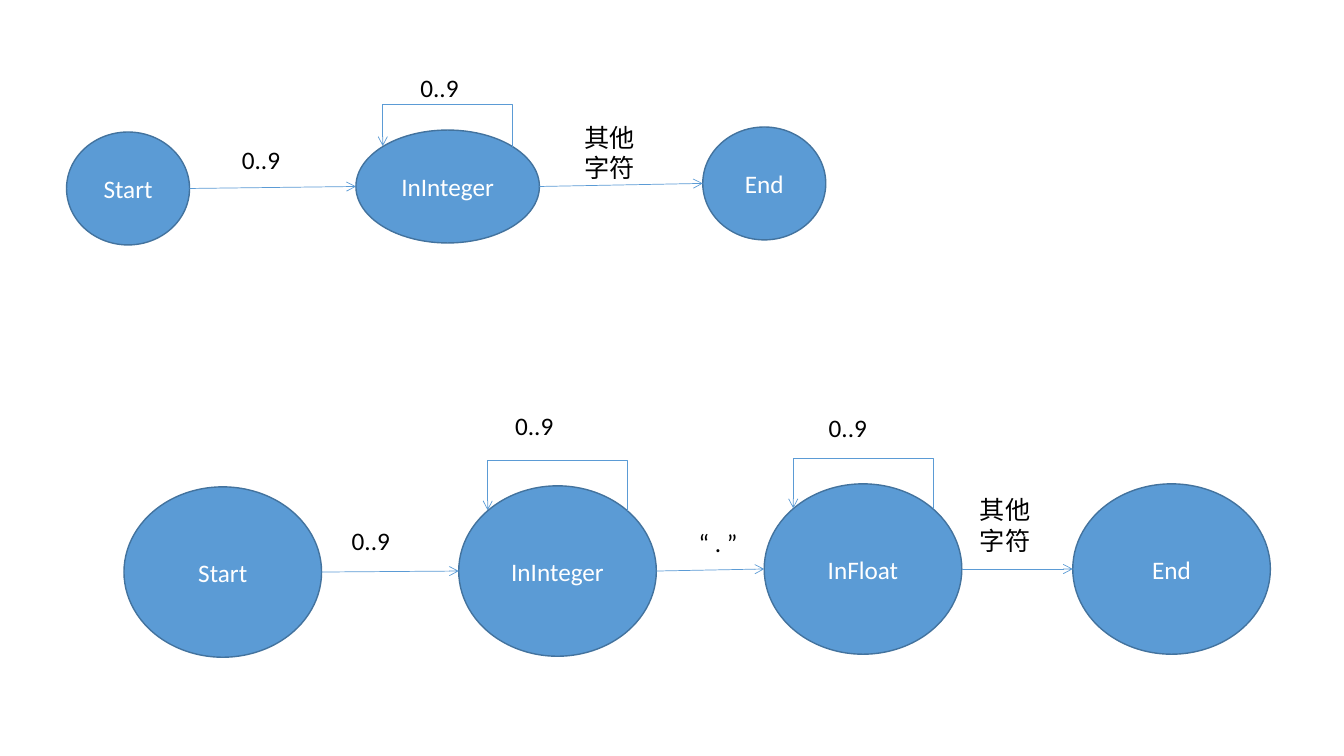
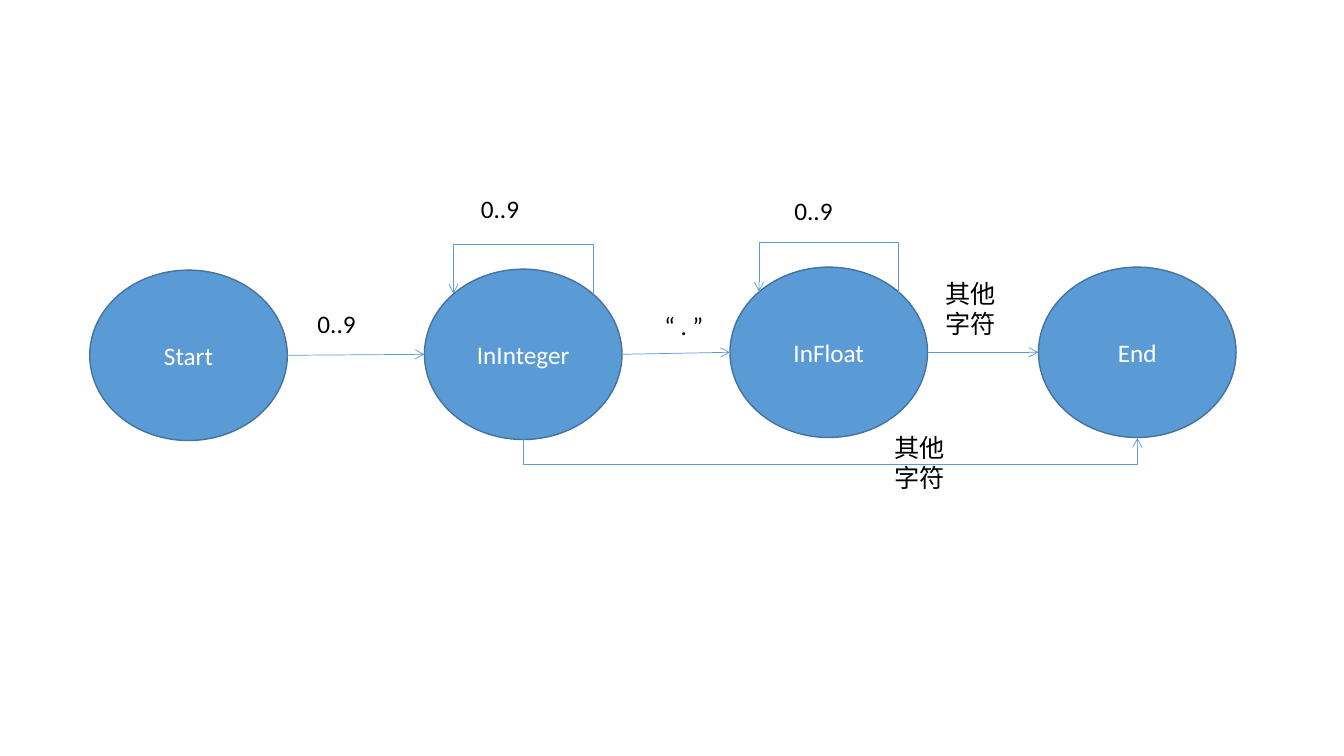
from collections import namedtuple
from math import sqrt

from lxml.etree import SubElement
from pptx import Presentation
from pptx.dml.color import RGBColor
from pptx.enum.shapes import MSO_CONNECTOR as Link, MSO_SHAPE as Preset
from pptx.enum.text import MSO_ANCHOR as Anchor, MSO_AUTO_SIZE as AutoSize, PP_ALIGN as Align
from pptx.oxml.ns import qn
from pptx.util import Inches, Pt

STATE_FILL = RGBColor(0x5B, 0x9B, 0xD5)
STATE_EDGE = RGBColor(0x43, 0x73, 0x9E)
WHITE = RGBColor(0xFF, 0xFF, 0xFF)
BLACK = RGBColor(0x00, 0x00, 0x00)
FONT = "Calibri"

DIGITS = "0..9"
OTHER = "其他字符"
TOP, TOP_LEFT, LEFT, BOTTOM_LEFT, BOTTOM, BOTTOM_RIGHT, RIGHT, TOP_RIGHT = range(8)
DIAGONAL = sqrt(0.5)
SITES = {
    TOP_LEFT: (-DIAGONAL, -DIAGONAL),
    LEFT: (-1, 0),
    BOTTOM: (0, 1),
    RIGHT: (1, 0),
    TOP_RIGHT: (DIAGONAL, -DIAGONAL),
}
ELBOW_STEP = 0.01

State = namedtuple("State", "name x y width height")
Label = namedtuple("Label", "text x y")

INTEGER_STATES = [
    State("Start", 0, 0.05, 1.22, 1.12),
    State("InInteger", 2.87, 0.03, 1.82, 1.12),
    State("End", 6.31, 0, 1.22, 1.12),
]
INTEGER_LABELS = [
    Label(OTHER, 5.04, -0.1),
    Label(DIGITS, 1.64, 0.12),
    Label(DIGITS, 3.41, -0.59),
]
FLOAT_STATES = [
    State("Start", 0, 0.03, 1.96, 1.69),
    State("InInteger", 3.32, 0.02, 1.96, 1.69),
    State("InFloat", 6.35, 0, 1.96, 1.69),
    State("End", 9.41, 0, 1.96, 1.69),
]
FLOAT_LABELS = [
    Label(OTHER, 8.39, 0.06),
    Label(DIGITS, 2.16, 0.36),
    Label("“ . ”", 5.6, 0.38),
    Label(DIGITS, 3.78, -0.78),
    Label(DIGITS, 6.89, -0.76),
]


def write(paragraph, text, color):
    run = paragraph.add_run()
    run.text = text
    run.font.name = FONT
    run.font.size = Pt(18)
    run.font.color.rgb = color


def add_state(slide, left, top, state):
    oval = slide.shapes.add_shape(
        Preset.OVAL, Inches(left + state.x), Inches(top + state.y),
        Inches(state.width), Inches(state.height))
    oval.shadow.inherit = False
    oval.fill.solid()
    oval.fill.fore_color.rgb = STATE_FILL
    oval.line.color.rgb = STATE_EDGE
    oval.line.width = Pt(1)
    oval.text_frame.vertical_anchor = Anchor.MIDDLE
    paragraph = oval.text_frame.paragraphs[0]
    paragraph.alignment = Align.CENTER
    write(paragraph, state.name, WHITE)
    return oval


def add_label(slide, left, top, label):
    height = 0.7 if label.text == OTHER else 0.4
    box = slide.shapes.add_textbox(
        Inches(left + label.x), Inches(top + label.y), Inches(0.92), Inches(height))
    box.text_frame.word_wrap = True
    box.text_frame.auto_size = AutoSize.SHAPE_TO_FIT_TEXT
    write(box.text_frame.paragraphs[0], label.text, BLACK)


def site_point(oval, site):
    across, down = SITES[site]
    return (round(oval.left + oval.width * (1 + across) / 2),
            round(oval.top + oval.height * (1 + down) / 2))


def add_arrow(slide, kind, source, source_site, target, target_site):
    arrow = slide.shapes.add_connector(
        kind, *site_point(source, source_site), *site_point(target, target_site))
    arrow.line.color.rgb = STATE_FILL
    arrow.line.width = Pt(0.5)
    SubElement(arrow.line._get_or_add_ln(), qn("a:tailEnd"), type="arrow")
    SubElement(arrow.element.find(qn("p:spPr")), qn("a:effectLst"))
    ends = arrow.element.find(".//" + qn("p:cNvCxnSpPr"))
    for tag, oval, site in (("a:stCxn", source, source_site), ("a:endCxn", target, target_site)):
        SubElement(ends, qn(tag), id=str(oval.shape_id), idx=str(site))
    return arrow


def bend(arrow, depth, above):
    center_x = (arrow.begin_x + arrow.end_x) // 2
    center_y = (arrow.begin_y + arrow.end_y) // 2
    span = abs(arrow.end_x - arrow.begin_x)
    step = Inches(ELBOW_STEP)
    arrow.left, arrow.top = center_x - step // 2, center_y - span // 2
    arrow.width, arrow.height = step, span
    properties = arrow.element.find(qn("p:spPr"))
    frame = properties.find(qn("a:xfrm"))
    frame.set("rot", str((270 if above else 90) * 60000))
    frame.set("flipH", "0" if above else "1")
    frame.set("flipV", "1")
    geometry = properties.find(qn("a:prstGeom"))
    guides = geometry.find(qn("a:avLst"))
    if guides is None:
        guides = SubElement(geometry, qn("a:avLst"))
    ratio = round(depth / ELBOW_STEP * 100000) * (1 if above else -1)
    SubElement(guides, qn("a:gd"), name="adj1", fmla=f"val {ratio}")


def add_automaton(slide, left, top, states, labels, loop_height):
    ovals = [add_state(slide, left, top, state) for state in states]
    for source, target in zip(ovals, ovals[1:]):
        add_arrow(slide, Link.STRAIGHT, source, RIGHT, target, LEFT)
    for oval in ovals[1:-1]:
        loop = add_arrow(slide, Link.ELBOW, oval, TOP_RIGHT, oval, TOP_LEFT)
        bend(loop, loop_height, above=True)
    for label in labels:
        add_label(slide, left, top, label)
    return ovals


def build_separate_automata(slide):
    add_automaton(slide, 1.23, 4.8, FLOAT_STATES, FLOAT_LABELS, 0.51)
    add_automaton(slide, 0.66, 1.26, INTEGER_STATES, INTEGER_LABELS, 0.43)


def build_merged_automaton(slide):
    left, top = 0.89, 2.65
    ovals = add_automaton(slide, left, top, FLOAT_STATES, FLOAT_LABELS, 0.51)
    shortcut = add_arrow(slide, Link.ELBOW, ovals[1], BOTTOM, ovals[-1], BOTTOM)
    bend(shortcut, 0.26, above=False)
    add_label(slide, left, top, Label(OTHER, 7.88, 1.59))


def main():
    deck = Presentation()
    deck.slide_width, deck.slide_height = Inches(13.33), Inches(7.5)
    blank = deck.slide_layouts[6]
    for build in (build_separate_automata, build_merged_automaton):
        build(deck.slides.add_slide(blank))
    deck.save("out.pptx")


if __name__ == "__main__":
    main()
